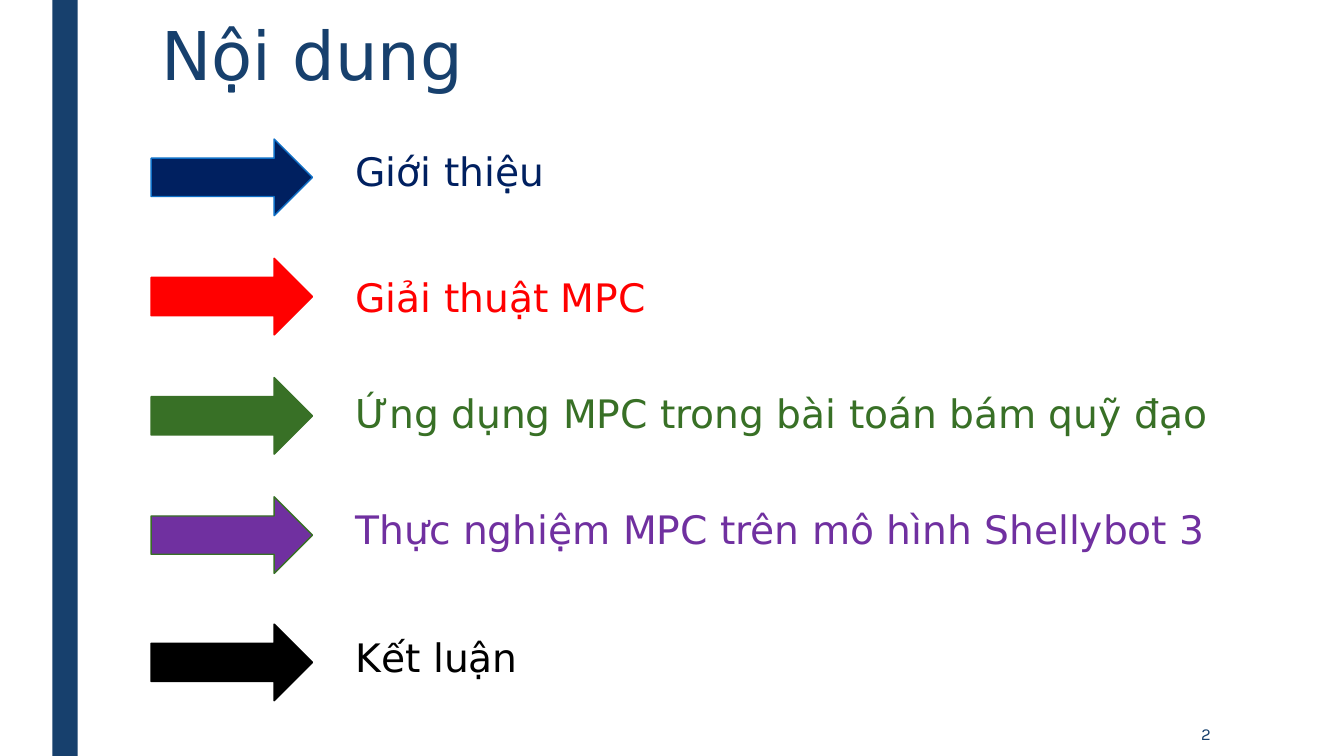
import dataclasses

import pptx
import pptx.dml.color
import pptx.enum.shapes
import pptx.enum.text
import pptx.util


@dataclasses.dataclass(frozen=True)
class Theme:
    background: str = "FFFFFF"
    accent: str = "17406D"
    font: str = "DejaVu Sans"
    number_font: str = "Karla"
    title_size: int = 48
    topic_size: int = 28
    number_size: int = 12
    outline: int = 1


@dataclasses.dataclass(frozen=True)
class Box:
    """A place on the grid, in columns and rows."""
    left: float
    top: float
    width: float
    height: float

    def lengths(self) -> tuple:
        return tuple(pptx.util.Inches(cells * CELL)
                     for cells in (self.left, self.top, self.width, self.height))


@dataclasses.dataclass(frozen=True)
class Topic:
    text: str
    color: str
    outline: str
    label_drop: float
    label_width: float = 98.9
    extra_drop: float = 0


THEME = Theme()

# Grid: square cells, 75 rows high
CELL = 0.1
COLUMNS, ROWS = 133.33, 75
TOPIC_TOP, TOPIC_PITCH = 13.8, 11.83
ARROW_LEFT, ARROW_WIDTH, ARROW_HEIGHT = 15, 16, 7.6
LABEL_LEFT, LABEL_HEIGHT = 34.3, 5.7

TOPICS = [
    Topic("Giới thiệu", "002060", "0F6FC6", 0.3, 59.9),
    Topic("Giải thuật MPC", "FF0000", "FF0000", 1, 59.9),
    Topic("Ứng dụng MPC trong bài toán bám quỹ đạo", "387026", "387026", 0.7),
    Topic("Thực nghiệm MPC trên mô hình Shellybot 3", "7030A0", "387026", 0.4),
    Topic("Kết luận", "000000", "000000", 0.4, extra_drop=0.8),
]


def rgb(color: str) -> pptx.dml.color.RGBColor:
    return pptx.dml.color.RGBColor.from_string(color)


def write_text(shape, text: str, *, size: int, color: str, font: str = THEME.font,
               align=pptx.enum.text.PP_ALIGN.LEFT,
               anchor=pptx.enum.text.MSO_ANCHOR.TOP,
               auto_size=pptx.enum.text.MSO_AUTO_SIZE.NONE,
               line_spacing: float = 1.0) -> None:
    frame = shape.text_frame
    frame.word_wrap = True
    frame.auto_size = auto_size
    frame.vertical_anchor = anchor
    paragraph = frame.paragraphs[0]
    paragraph.alignment = align
    paragraph.line_spacing = line_spacing
    run = paragraph.add_run()
    run.text = text
    run.font.size = pptx.util.Pt(size)
    run.font.name = font
    run.font.color.rgb = rgb(color)


def draw_shape(slide, kind, box: Box, fill: str, outline: str | None = None) -> None:
    shape = slide.shapes.add_shape(kind, *box.lengths())
    shape.shadow.inherit = False
    shape.fill.solid()
    shape.fill.fore_color.rgb = rgb(fill)
    if outline is None:
        shape.line.fill.background()
    else:
        shape.line.color.rgb = rgb(outline)
        shape.line.width = pptx.util.Pt(THEME.outline)


def draw_topic(slide, index: int, topic: Topic) -> None:
    top = TOPIC_TOP + index * TOPIC_PITCH + topic.extra_drop
    draw_shape(slide, pptx.enum.shapes.MSO_SHAPE.RIGHT_ARROW,
               Box(ARROW_LEFT, top, ARROW_WIDTH, ARROW_HEIGHT),
               topic.color, topic.outline)
    label_box = Box(LABEL_LEFT, top + topic.label_drop, topic.label_width, LABEL_HEIGHT)
    label = slide.shapes.add_textbox(*label_box.lengths())
    write_text(label, topic.text, size=THEME.topic_size, color=topic.color,
               auto_size=pptx.enum.text.MSO_AUTO_SIZE.SHAPE_TO_FIT_TEXT)


def main() -> None:
    presentation = pptx.Presentation()
    presentation.slide_width = pptx.util.Inches(COLUMNS * CELL)
    presentation.slide_height = pptx.util.Inches(ROWS * CELL)
    title_only = presentation.slide_layouts[5]
    slide = presentation.slides.add_slide(title_only)
    slide.background.fill.solid()
    slide.background.fill.fore_color.rgb = rgb(THEME.background)

    # Side bar
    draw_shape(slide, pptx.enum.shapes.MSO_SHAPE.RECTANGLE,
               Box(5.2, 0, 2.5, ROWS), THEME.accent)

    # Title
    title = slide.shapes.title
    title.left, title.top, title.width, title.height = Box(15, 1.8, 105, 11.4).lengths()
    write_text(title, "Nội dung", size=THEME.title_size, color=THEME.accent,
               line_spacing=0.89)

    # Topics, each an arrow and its label
    for index, topic in enumerate(TOPICS):
        draw_topic(slide, index, topic)

    # Slide number
    number = slide.shapes.add_textbox(*Box(103.6, 70.6, 17.5, 4.4).lengths())
    write_text(number, "2", size=THEME.number_size, color=THEME.accent,
               font=THEME.number_font, align=pptx.enum.text.PP_ALIGN.RIGHT,
               anchor=pptx.enum.text.MSO_ANCHOR.MIDDLE)

    presentation.save("out.pptx")


if __name__ == "__main__":
    main()
